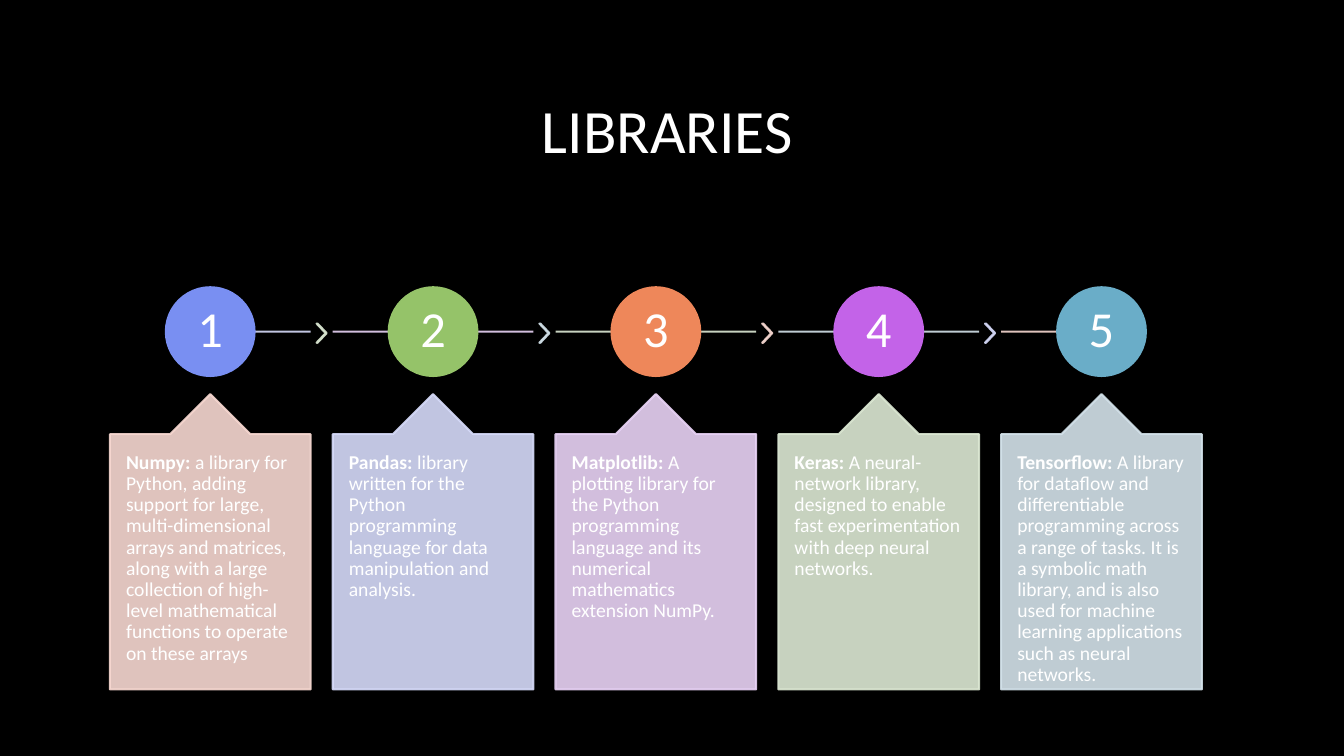
"""Builds a slide presenting five Python libraries as a numbered process."""
import lxml.etree
import pptx
import pptx.dml.color
import pptx.enum.shapes
import pptx.enum.text
import pptx.oxml.ns
import pptx.util

TITLE = "LIBRARIES"
LIBRARIES = [
    ("Numpy: ", "a library for Python, adding support for large, multi-dimensional arrays and "
     "matrices, along with a large collection of high-level mathematical functions to operate "
     "on these arrays"),
    ("Pandas: ", "library written for the Python programming language for data manipulation "
     "and analysis."),
    ("Matplotlib: ", "A plotting library for the Python programming language and its numerical "
     "mathematics extension NumPy."),
    ("Keras: ", "A neural-network library, designed to enable fast experimentation with deep "
     "neural networks."),
    ("Tensorflow: ", "A library for dataflow and differentiable programming across a range of "
     "tasks. It is a symbolic math library, and is also used for machine learning applications "
     "such as neural networks."),
]
THEME = {
    "font": "Calibri", "text": "FFFFFF", "background": "000000",
    "title": 44, "number": 36, "body": 14, "line": 1.5, "opacity": 90,
    "strong": ["798FF2", "95C369", "EE875A", "C363E8", "6AADC8"],
    "tints": ["F8D9D2", "D7DBFA", "E9D3F6", "DDE9D4", "D4E3EB"],
}
WIDTH, HEIGHT = 13.33, 7.5
LEFT, PITCH, CARD_W = 1.09, 2.21, 1.99
CARD_TOP, CARD_H = 3.91, 2.93
CIRCLE, AXIS = 0.88, 3.29
CHEVRON_W, CHEVRON_H, CHEVRON_TOP = 0.1, 0.19, 3.21

Inches, Pt = pptx.util.Inches, pptx.util.Pt
MSO_SHAPE = pptx.enum.shapes.MSO_SHAPE
ANCHOR = pptx.enum.text.MSO_ANCHOR
ALIGN = pptx.enum.text.PP_ALIGN
qn = pptx.oxml.ns.qn


def rgb(value):
    return pptx.dml.color.RGBColor.from_string(value)


def tint(i):
    return THEME["tints"][i % len(THEME["tints"])]


def set_opacity(sp, percent):
    for color in sp.element.spPr.iter(qn("a:srgbClr")):
        lxml.etree.SubElement(color, qn("a:alpha")).set("val", str(percent * 1000))


def add_shape(slide, kind, box, color, opacity=100, adjustments=()):
    sp = slide.shapes.add_shape(kind, *map(Inches, box))
    sp.shadow.inherit = False
    for i, value in enumerate(adjustments):
        sp.adjustments[i] = value
    sp.fill.solid()
    sp.fill.fore_color.rgb = rgb(color)
    sp.line.color.rgb = rgb(color)
    sp.line.width = Pt(THEME["line"])
    if opacity < 100:
        set_opacity(sp, opacity)
    return sp


def add_line(slide, start, end, color):
    cn = slide.shapes.add_connector(pptx.enum.shapes.MSO_CONNECTOR.STRAIGHT,
                                    *map(Inches, (start, AXIS, end, AXIS)))
    cn.line.color.rgb = rgb(color)
    cn.line.width = Pt(THEME["line"])
    set_opacity(cn, THEME["opacity"])
    lxml.etree.SubElement(cn.element.spPr, qn("a:effectLst"))


def write(sp, text, lead="", size=14, align=ALIGN.CENTER, anchor=ANCHOR.MIDDLE,
          inset=(0.03, 0.03), spacing=0.9):
    tf = sp.text_frame
    tf.word_wrap = True
    tf.vertical_anchor = anchor
    tf.margin_left = tf.margin_right = Inches(inset[0])
    tf.margin_top = tf.margin_bottom = Inches(inset[1])
    p = tf.paragraphs[0]
    p.alignment = align
    p.line_spacing = spacing
    for words, bold in ((lead, True), (text, False)):
        if words:
            r = p.add_run()
            r.text = words
            r.font.name = THEME["font"]
            r.font.size = Pt(size)
            r.font.bold = bold
            r.font.color.rgb = rgb(THEME["text"])


def add_step(slide, i, lead, text):
    left = LEFT + i * PITCH
    center = left + CARD_W / 2
    last = i == len(LIBRARIES) - 1
    add_line(slide, left if i else center + CIRCLE / 8,
             center if last else left + CARD_W, tint(i + 1))
    if not last:
        add_shape(slide, MSO_SHAPE.CHEVRON,
                  (left + CARD_W + 0.06, CHEVRON_TOP, CHEVRON_W, CHEVRON_H),
                  tint(i + 3), THEME["opacity"], [0.9])
    circle = add_shape(slide, MSO_SHAPE.OVAL,
                       (center - CIRCLE / 2, AXIS - CIRCLE / 2, CIRCLE, CIRCLE),
                       THEME["strong"][i])
    write(circle, str(i + 1), size=THEME["number"])
    card = add_shape(slide, MSO_SHAPE.UP_ARROW_CALLOUT, (left, CARD_TOP, CARD_W, CARD_H),
                     tint(i), THEME["opacity"], [0.5, 0.2, 0.2, 1])
    write(card, text, lead=lead, size=THEME["body"], align=ALIGN.LEFT,
          anchor=ANCHOR.TOP, inset=(0.16, 0.18))


def main():
    prs = pptx.Presentation()
    prs.slide_width, prs.slide_height = Inches(WIDTH), Inches(HEIGHT)
    slide = prs.slides.add_slide(prs.slide_layouts[6])
    slide.background.fill.solid()
    slide.background.fill.fore_color.rgb = rgb(THEME["background"])
    title = slide.shapes.add_textbox(*map(Inches, (1.08, 0.66, 11.08, 1.33)))
    write(title, TITLE, size=THEME["title"], inset=(0.1, 0.05))
    for i, (lead, text) in enumerate(LIBRARIES):
        add_step(slide, i, lead, text)
    prs.save("out.pptx")


if __name__ == "__main__":
    main()
